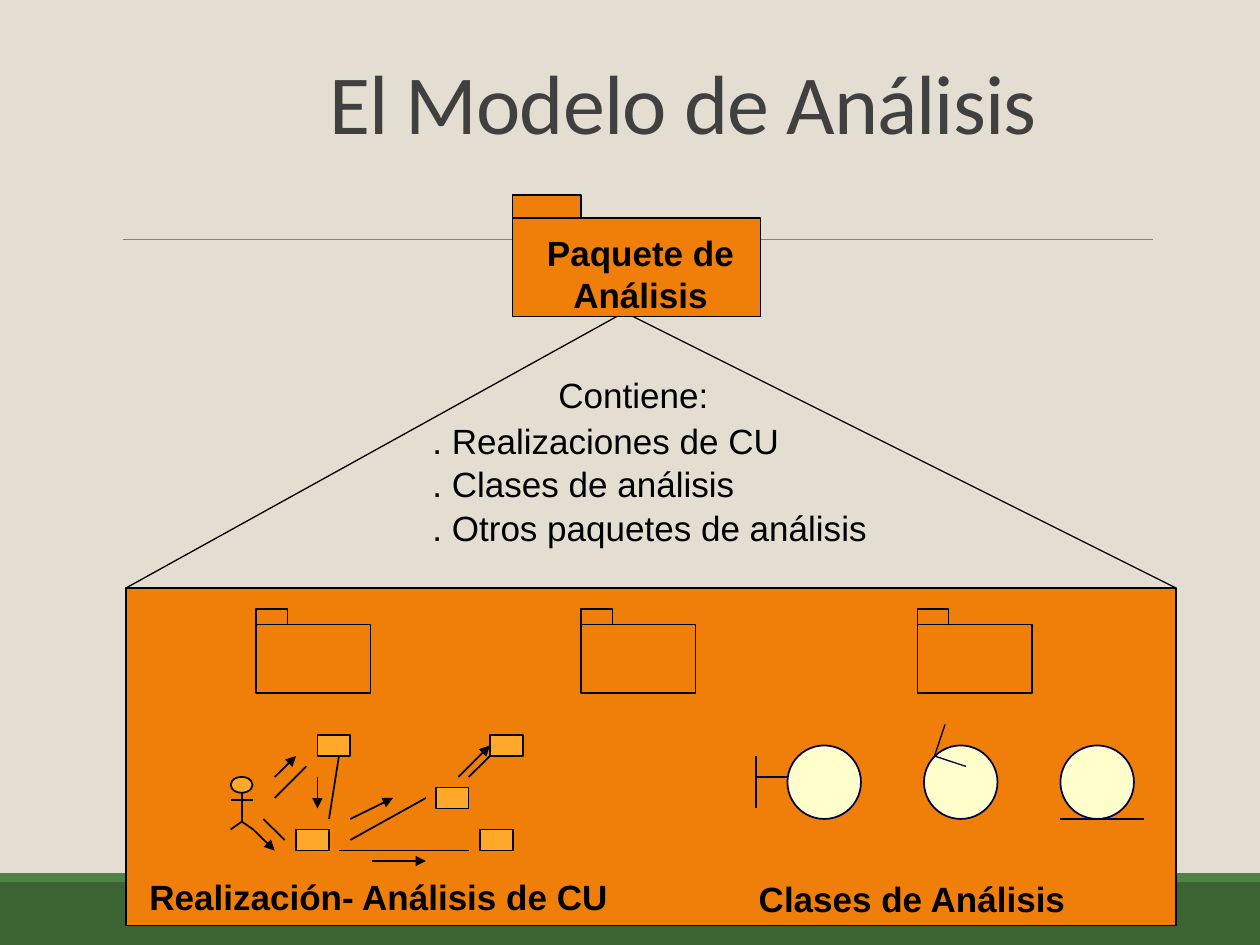
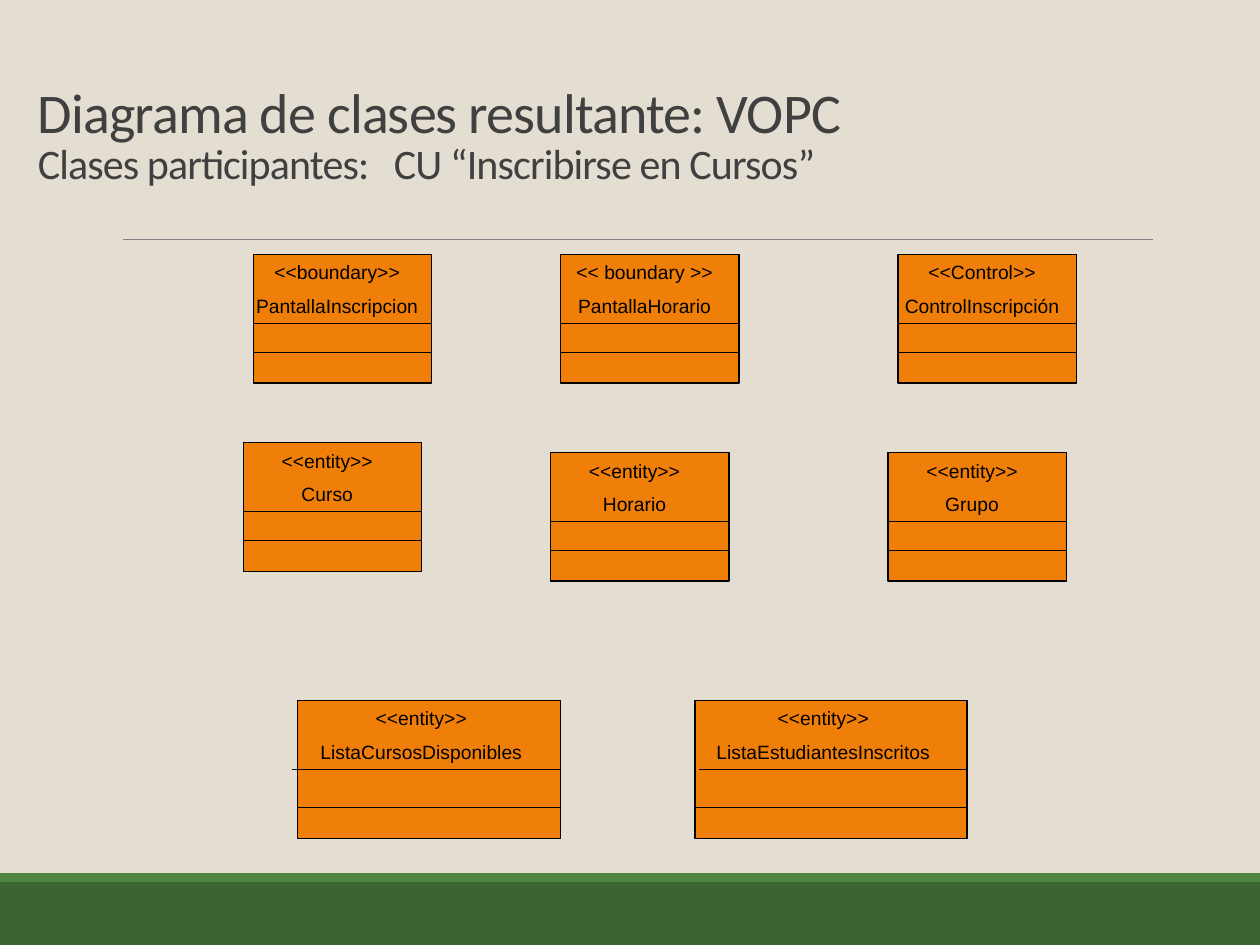
from lxml import etree
from pptx import Presentation
from pptx.dml.color import RGBColor
from pptx.enum.shapes import MSO_CONNECTOR, MSO_SHAPE
from pptx.enum.text import MSO_ANCHOR, MSO_AUTO_SIZE, PP_ALIGN
from pptx.oxml.ns import qn
from pptx.util import Pt

SAND = RGBColor(0xE3, 0xDE, 0xD1)
DARK_GREEN = RGBColor(0x3B, 0x64, 0x32)
GREEN = RGBColor(0x4E, 0x85, 0x42)
GRAY = RGBColor(0x80, 0x80, 0x80)
TITLE_GRAY = RGBColor(0x40, 0x40, 0x40)
ORANGE = RGBColor(0xF0, 0x7F, 0x09)
AMBER = RGBColor(0xFF, 0xA8, 0x29)
CREAM = RGBColor(0xFF, 0xFF, 0xCC)
NAVY = RGBColor(0x00, 0x00, 0x48)
BLACK = RGBColor(0x00, 0x00, 0x00)


def add_box(page, kind, left, top, width, height, fill, outline=BLACK, weight=0.75):
    box = page.shapes.add_shape(kind, Pt(left), Pt(top), Pt(width), Pt(height))
    box.shadow.inherit = False
    box.fill.solid()
    box.fill.fore_color.rgb = fill
    if outline is None:
        box.line.fill.background()
    else:
        box.line.color.rgb = outline
        box.line.width = Pt(weight)
    return box


def add_line(page, x1, y1, x2, y2, color=BLACK, weight=0.75, arrow=False):
    line = page.shapes.add_connector(MSO_CONNECTOR.STRAIGHT, Pt(x1), Pt(y1), Pt(x2), Pt(y2))
    line.line.color.rgb = color
    line.line.width = Pt(weight)
    if arrow:
        outline = line.element.xpath(".//a:ln")[0]
        etree.SubElement(outline, qn("a:tailEnd"), type="triangle")
    etree.SubElement(line.element.spPr, qn("a:effectLst"))
    return line


deck = Presentation()
deck.slide_width = Pt(720)
deck.slide_height = Pt(540)
layout = deck.slide_layouts[5]
layout.background.fill.solid()
layout.background.fill.fore_color.rgb = SAND

model_page = deck.slides.add_slide(layout)
class_page = deck.slides.add_slide(layout)

# Shared decoration, moved into the layout behind its placeholders
decoration = [
    add_box(model_page, MSO_SHAPE.RECTANGLE, 0, 504, 720, 36, DARK_GREEN, None),
    add_box(model_page, MSO_SHAPE.RECTANGLE, 0, 499, 720, 5, GREEN, None),
    add_line(model_page, 70.5, 136.8, 659, 136.8, GRAY, 0.5),
]
for number, shape in enumerate(decoration):
    shape.element.xpath(".//p:cNvPr")[0].set("id", str(100 + number))
    layout.shapes.element.insert(2 + number, shape.element)

# Titles: each run is a text and its size
titles = [
    (model_page, 84.2, 0, 612, 90, PP_ALIGN.CENTER, [("El Modelo de Análisis", 48)]),
    (class_page, 14.4, 26, 686, 85, PP_ALIGN.LEFT,
     [("Diagrama de clases resultante: VOPC", 32),
      ("Clases participantes:\tCU “Inscribirse en Cursos”", 24)]),
]
for page, left, top, width, height, align, runs in titles:
    title = page.shapes.title
    title.left, title.top, title.width, title.height = Pt(left), Pt(top), Pt(width), Pt(height)
    frame = title.text_frame
    frame.word_wrap = True
    frame.auto_size = MSO_AUTO_SIZE.NONE
    frame.vertical_anchor = MSO_ANCHOR.BOTTOM
    para = frame.paragraphs[0]
    para.alignment = align
    para.line_spacing = 0.85
    for index, (text, size) in enumerate(runs):
        if index:
            para.add_line_break()
        span = para.add_run()
        span.text = text
        span.font.size = Pt(size)
        span.font.name = "Calibri"
        span.font.color.rgb = TITLE_GRAY
    for properties in title.element.xpath(".//a:r/a:rPr"):
        properties.set("spc", "-50")

# Tab stop between the two halves of the subtitle
tabs = etree.SubElement(class_page.shapes.title.element.xpath(".//a:pPr")[0], qn("a:tabLst"))
etree.SubElement(tabs, qn("a:tab"), pos=str(Pt(203.5)), algn="l")

# Slide 1: the package opens into its contents
add_box(model_page, MSO_SHAPE.RECTANGLE, 72, 336, 600, 193, ORANGE)
add_line(model_page, 354, 180, 72, 336)
add_line(model_page, 360, 180, 672, 336)

folders = [(293, 124.5, 141.5, 56.5, 39, 13)]
folders += [(left, 357, 65.5, 39, 18, 9) for left in (146.2, 332, 524.2)]
for left, top, width, height, tab_width, tab_height in folders:
    add_box(model_page, MSO_SHAPE.RECTANGLE, left, top, width, height, ORANGE)
    add_box(model_page, MSO_SHAPE.RECTANGLE, left, top - tab_height, tab_width, tab_height, ORANGE)

# Actor and collaboration diagram
add_box(model_page, MSO_SHAPE.OVAL, 131.8, 444, 12.5, 9, AMBER, weight=1)
actor_lines = [
    (138.2, 453, 138.2, 469.5), (131.8, 457.2, 144.7, 457.2),
    (138.2, 469.5, 131.8, 474), (138.2, 469.5, 144.7, 474),
]
links = [
    (157, 456, 175, 438), (150.5, 468, 162.7, 480), (193.7, 432, 188, 468),
    (200.2, 480, 243.4, 456), (267.8, 444, 280, 432), (193.7, 486, 267.8, 486),
]
messages = [
    (157, 444, 169.2, 432), (181.4, 444, 181.4, 462), (144.7, 474, 157, 486),
    (212.4, 492, 243.4, 492), (200.2, 468, 224.6, 456), (262, 444, 280, 426),
]
for left, top in [(181.4, 420), (169.2, 474), (280, 420), (249.1, 450), (274.3, 474)]:
    add_box(model_page, MSO_SHAPE.RECTANGLE, left, top, 18.7, 12, AMBER, weight=1)
for ends in actor_lines + links:
    add_line(model_page, *ends, weight=1)
for ends in messages:
    add_line(model_page, *ends, weight=1, arrow=True)

# Boundary, control and entity symbols
for left in (450, 528, 606):
    add_box(model_page, MSO_SHAPE.OVAL, left, 426, 42, 42, CREAM, NAVY, 1)
symbol_lines = [
    (432, 444, 450, 444), (432, 432, 432, 462),
    (534, 432, 540, 414), (534, 432, 552, 438),
    (606, 468, 654, 468),
]
for ends in symbol_lines:
    add_line(model_page, *ends, color=NAVY)

contents = ["Contiene:", ". Realizaciones de CU", ". Clases de análisis",
            ". Otros paquetes de análisis"]
labels = [
    (288, 129, 156, 55, ["Paquete de Análisis"], True, PP_ALIGN.CENTER, 0),
    (240, 210, 300, 110, contents, False, PP_ALIGN.LEFT, 72),
    (78.3, 497, 300, 31, ["Realización- Análisis de CU"], True, PP_ALIGN.LEFT, 0),
    (426.5, 498, 230, 31, ["Clases de Análisis"], True, PP_ALIGN.LEFT, 0),
]
for left, top, width, height, lines, bold, align, indent in labels:
    box = model_page.shapes.add_textbox(Pt(left), Pt(top), Pt(width), Pt(height))
    frame = box.text_frame
    frame.word_wrap = True
    frame.text = "\n".join(lines)
    for index, para in enumerate(frame.paragraphs):
        para.alignment = align
        para.font.size = Pt(20)
        para.font.name = "Arial"
        para.font.bold = bold
        para.font.color.rgb = BLACK
        if index:
            para.line_spacing = 0.6
            para.space_before = Pt(10.5)
    box.element.xpath(".//a:pPr")[0].set("marL", str(Pt(indent)))

# Slide 2: each class has a stereotype, a name and two empty compartments.
# Sizes: width, height, depths of both dividers, extra text width on the left
SMALL = (102, 73.5, 39.5, 56, 6)
LEFT_LIST = (150.5, 79, 39.6, 61.2, 9)
RIGHT_LIST = (155.5, 79, 39.6, 61.2, 9)
classes = [
    (144.7, 145.4, SMALL, 0, "<<boundary>>", "PantallaInscripcion"),
    (320.4, 145.4, SMALL, 0, "<< boundary >>", "PantallaHorario"),
    (513.2, 145.4, SMALL, 0, "<<Control>>", "ControlInscripción"),
    (139, 253, SMALL, 0, "<<entity>>", "Curso"),
    (314.6, 258.6, SMALL, 0, "<<entity>>", "Horario"),
    (507.5, 258.6, SMALL, 0, "<<entity>>", "Grupo"),
    (170, 400.3, LEFT_LIST, -3, "<<entity>>", "ListaCursosDisponibles"),
    (397.2, 400.3, RIGHT_LIST, 2.5, "<<entity>>", "ListaEstudiantesInscritos"),
]
for left, top, sizes, divider_shift, stereotype, name in classes:
    width, height, first_divider, second_divider, overhang = sizes
    right = left + width
    add_box(class_page, MSO_SHAPE.RECTANGLE, left, top, width, height, ORANGE)
    add_line(class_page, left + divider_shift, top + first_divider, right, top + first_divider)
    add_line(class_page, left, top + second_divider, right, top + second_divider)
    box = class_page.shapes.add_textbox(
        Pt(left - overhang), Pt(top), Pt(width + overhang), Pt(40))
    frame = box.text_frame
    frame.word_wrap = True
    frame.margin_left = frame.margin_right = Pt(4)
    frame.text = f"{stereotype}\n{name}"
    for para in frame.paragraphs:
        para.alignment = PP_ALIGN.CENTER
        para.font.size = Pt(11)
        para.font.name = "Arial"
        para.font.color.rgb = BLACK
    frame.paragraphs[1].space_before = Pt(6)

deck.save("out.pptx")
